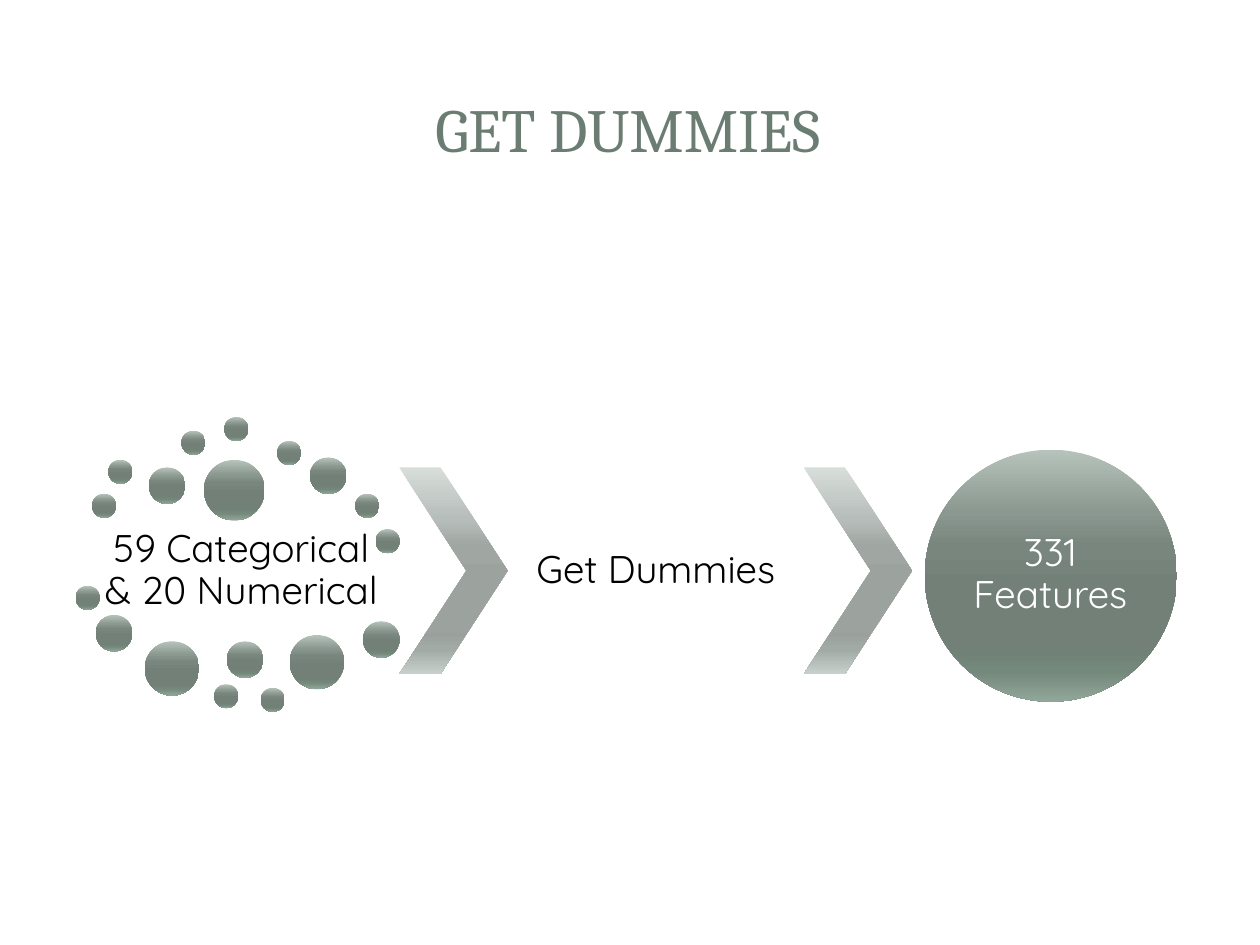
from dataclasses import dataclass

from lxml import etree
from pptx import Presentation
from pptx import util as u
from pptx.dml.color import RGBColor
from pptx.enum import shapes, text
from pptx.oxml.ns import qn


@dataclass(frozen=True)
class Theme:
    title: str = "6B7D72"
    ink: str = "000000"
    light: str = "FFFFFF"
    head: str = "Cambria"
    body: str = "Quicksand"
    big: int = 35
    mid: int = 22
    stops: tuple = (0, 25, 38, 55, 80, 88, 100)
    green: tuple = ("B6C3BB", "8B9890", "79867E", "728078",
                    "708176", "75887C", "91A79A")
    grey: tuple = ("D7DEDA", "B7BDBA", "A0A6A2", "9CA29E",
                   "9AA19D", "A2AAA5", "C7D0CA")


class Deck:
    def __init__(self, theme):
        self.theme = theme
        self.prs = Presentation()
        self.prs.slide_width, self.prs.slide_height = u.Pt(720), u.Pt(540)
        self.slide = self.prs.slides.add_slide(self.prs.slide_layouts[6])

    def shade(self, shape, tones):
        """Fill a shape with a vertical gradient."""
        shape.fill.gradient()
        shape.fill.gradient_angle = 270
        stops = shape._element.spPr.find(qn("a:gradFill")).find(qn("a:gsLst"))
        for old in list(stops):
            stops.remove(old)
        for pos, tone in zip(self.theme.stops, tones):
            stop = etree.SubElement(stops, qn("a:gs"), pos=str(pos * 1000))
            etree.SubElement(stop, qn("a:srgbClr"), val=tone)

    def form(self, kind, box, tones):
        shape = self.slide.shapes.add_shape(kind, *map(u.Pt, box))
        shape.shadow.inherit = False
        shape.line.fill.background()
        self.shade(shape, tones)
        return shape

    def ball(self, left, top, size):
        self.form(shapes.MSO_SHAPE.OVAL, (left, top, size, size),
                  self.theme.green)

    def arrow(self, left, top, width, height):
        shape = self.form(shapes.MSO_SHAPE.CHEVRON,
                          (left, top, width, height), self.theme.grey)
        shape.adjustments[0] = 0.62

    def label(self, words, box, color, inset=2, space=0.9, **font):
        frame = self.slide.shapes.add_textbox(*map(u.Pt, box)).text_frame
        look = {"word_wrap": True, "vertical_anchor": text.MSO_ANCHOR.MIDDLE}
        for side in ("left", "right", "top", "bottom"):
            look["margin_" + side] = u.Pt(inset)
        for name, value in look.items():
            setattr(frame, name, value)
        para = frame.paragraphs[0]
        para.alignment, para.line_spacing = text.PP_ALIGN.CENTER, space
        run = para.add_run()
        run.text = words
        style = {"name": self.theme.body, "size": u.Pt(self.theme.mid), **font}
        for name, value in style.items():
            setattr(run.font, name, value)
        run.font.color.rgb = RGBColor.from_string(color)


# Dot corners, grouped by diameter
DOTS = {
    13.7: [(52.6, 282.2), (61.9, 262.8), (103.7, 246.2), (128.2, 238.3),
           (158.4, 252), (203, 282.2), (214.6, 302.4), (43.2, 334.8),
           (122.4, 391), (149, 393.1)],
    20.9: [(85, 267.1), (177.1, 261.4), (54.7, 351.4), (129.6, 366.5),
           (207.4, 355)],
    31: [(82.8, 366.5), (165.6, 362.9)],
    34.6: [(116.6, 262.8)],
}


def main():
    theme = Theme()
    deck = Deck(theme)

    # Title
    deck.label("GET DUMMIES", (33.8, 32.4, 650, 82), theme.title, inset=4,
               space=1, name=theme.head, size=u.Pt(theme.big))

    # Input features inside a cloud of dots
    deck.label("59 Categorical & 20 Numerical", (53.3, 298.8, 169.2, 55.4),
               theme.ink)
    for size, spots in DOTS.items():
        for left, top in spots:
            deck.ball(left, top, size)

    # Step between two chevrons
    top, wide, step, high = 267.1, 61.9, 169.2, 118.1
    start = 228.2
    deck.arrow(start, top, wide, high)
    deck.label("Get Dummies", (start + wide, top, step, high), theme.ink)
    deck.arrow(start + wide + step, top, wide, high)

    # Result
    deck.ball(528.5, 257, 144)
    deck.label("331 Features", (549.4, 277.9, 101.5, 101.5), theme.light,
               inset=0)

    deck.prs.save("out.pptx")


if __name__ == "__main__":
    main()
